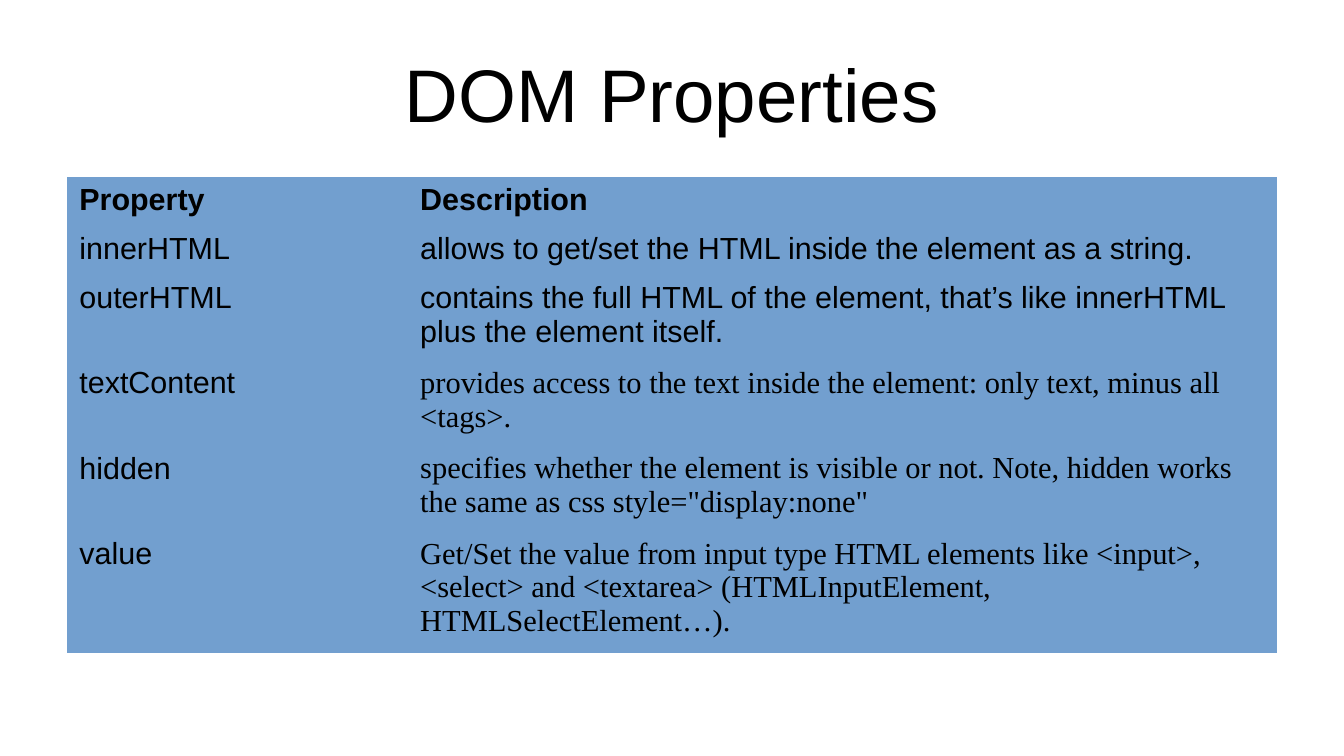
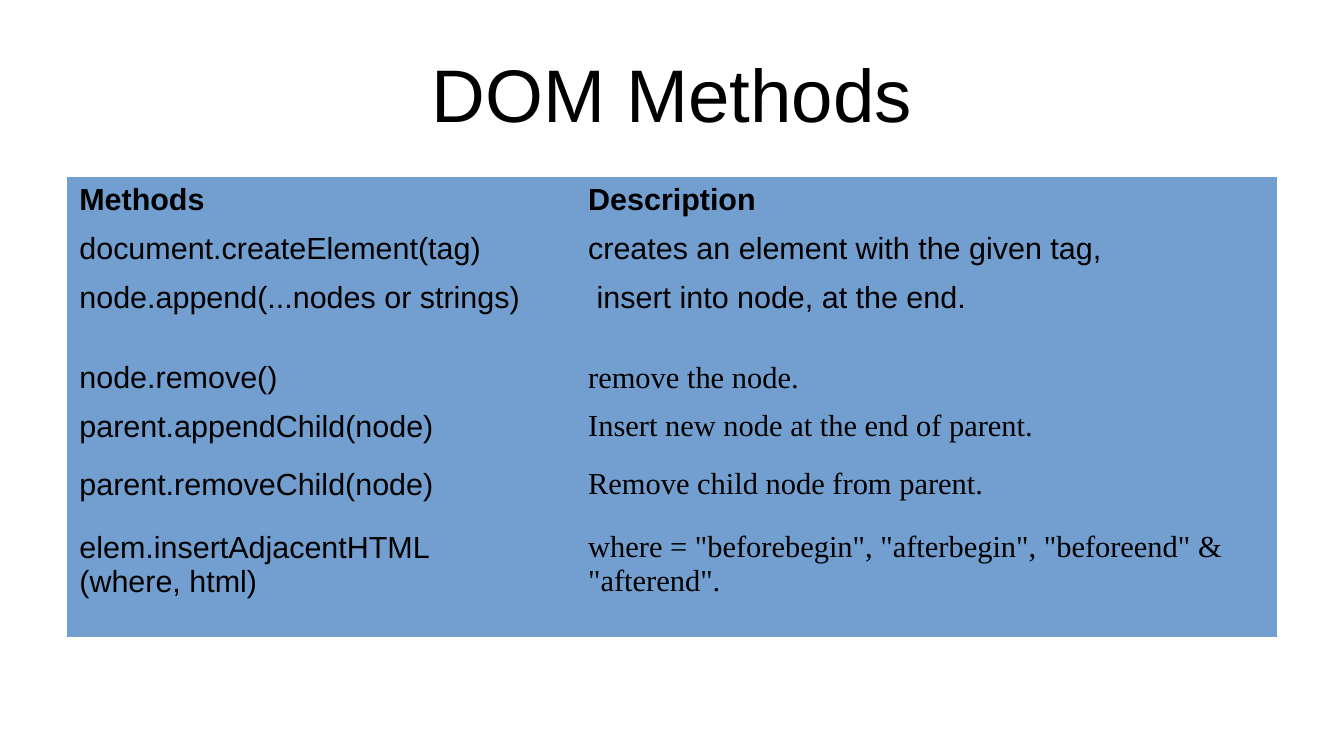
from dataclasses import dataclass

from pptx import Presentation
from pptx.dml.color import RGBColor
from pptx.enum.text import MSO_ANCHOR as Anchor, PP_ALIGN as Align
from pptx.oxml.ns import qn
from pptx.util import Cm, Pt


@dataclass(frozen=True)
class Theme:
    ink: str = "000000"
    cell: str = "729FCF"
    sans: str = "Arial"
    serif: str = "Times New Roman"
    title_size: int = 44
    table_size: int = 18
    plain_table: str = "{2D5ABB26-0587-4C30-8999-92F81FD0307C}"  # no style, no grid


THEME = Theme()

# Page grid, in centimetres
PAGE_W, PAGE_H = 28, 15.75
LEFT, WIDTH = 1.4, 25.2
TITLE_TOP, TITLE_H = 0.2, 3.48
TABLE_TOP = TITLE_TOP + TITLE_H


def write(tf, text, *, size, font=THEME.sans, bold=False, align=Align.LEFT):
    """Fill a text frame, one paragraph per line of text."""
    for i, line in enumerate(text.split("\n")):
        p = tf.add_paragraph() if i else tf.paragraphs[0]
        p.alignment = align
        r = p.add_run()
        r.text = line
        r.font.size, r.font.name, r.font.bold = Pt(size), font, bold
        r.font.color.rgb = RGBColor.from_string(THEME.ink)


class Deck:
    def __init__(self, theme):
        self.theme = theme
        self.prs = Presentation()
        self.prs.slide_width, self.prs.slide_height = Cm(PAGE_W), Cm(PAGE_H)
        self.s = None

    def slide(self, title):
        self.s = self.prs.slides.add_slide(self.prs.slide_layouts[6])
        self.title(title)

    def title(self, text):
        sp = self.s.shapes.add_textbox(Cm(LEFT), Cm(TITLE_TOP), Cm(WIDTH), Cm(TITLE_H))
        tf = sp.text_frame
        tf.word_wrap = True
        tf.vertical_anchor = Anchor.MIDDLE
        tf.margin_left = tf.margin_top = tf.margin_right = tf.margin_bottom = 0
        write(tf, text, size=self.theme.title_size, align=Align.CENTER)

    def table(self, rows, heights, first_col, serif_from):
        """Two-column table; descriptions turn serif from row serif_from on."""
        th = self.theme
        frame = self.s.shapes.add_table(len(rows), 2, Cm(LEFT), Cm(TABLE_TOP),
                                        Cm(WIDTH), Cm(sum(heights)))
        table = frame.table
        table.first_row = table.horz_banding = False
        table._tbl.tblPr.find(qn("a:tableStyleId")).text = th.plain_table
        for col, width in zip(table.columns, (first_col, WIDTH - first_col)):
            col.width = Cm(width)
        for i, (texts, height) in enumerate(zip(rows, heights)):
            table.rows[i].height = Cm(height)
            for j, text in enumerate(texts):
                cell = table.cell(i, j)
                cell.fill.solid()
                cell.fill.fore_color.rgb = RGBColor.from_string(th.cell)
                serif = j == 1 and i >= serif_from
                write(cell.text_frame, text, size=th.table_size, bold=i == 0,
                      font=th.serif if serif else th.sans)


PROPERTIES = [
    ("Property", "Description"),
    ("innerHTML", "allows to get/set the HTML inside the element as a string."),
    ("outerHTML", "contains the full HTML of the element, that’s like innerHTML "
                  "plus the element itself."),
    ("textContent", "provides access to the text inside the element: only text, "
                    "minus all <tags>."),
    ("hidden", "specifies whether the element is visible or not. Note, hidden works "
               'the same as css style="display:none"'),
    ("value", "Get/Set the value from input type HTML elements like <input>, <select> "
              "and <textarea> (HTMLInputElement, HTMLSelectElement…)."),
]

METHODS = [
    ("Methods", "Description"),
    ("document.createElement(tag)", "creates an element with the given tag,"),
    ("node.append(...nodes or strings)", " insert into node, at the end."),
    ("node.remove()", "remove the node."),
    ("parent.appendChild(node)", "Insert new node at the end of parent."),
    ("parent.removeChild(node)", "Remove child node from parent."),
    ("elem.insertAdjacentHTML\n(where, html)",
     'where = "beforebegin", "afterbegin", "beforeend" & "afterend".'),
]

# Row heights by number of text lines
ONE, TWO, THREE = 1.02, 1.77, 2.54


def main():
    deck = Deck(THEME)

    # Properties
    deck.slide("DOM Properties")
    deck.table(PROPERTIES, [ONE, ONE, TWO, TWO, TWO, THREE], first_col=7.1, serif_from=3)

    # Methods
    deck.slide("DOM Methods")
    deck.table(METHODS, [ONE, ONE, 1.67, ONE, 1.2, 1.32, 2.35], first_col=10.6, serif_from=3)

    deck.prs.save("out.pptx")


if __name__ == "__main__":
    main()
